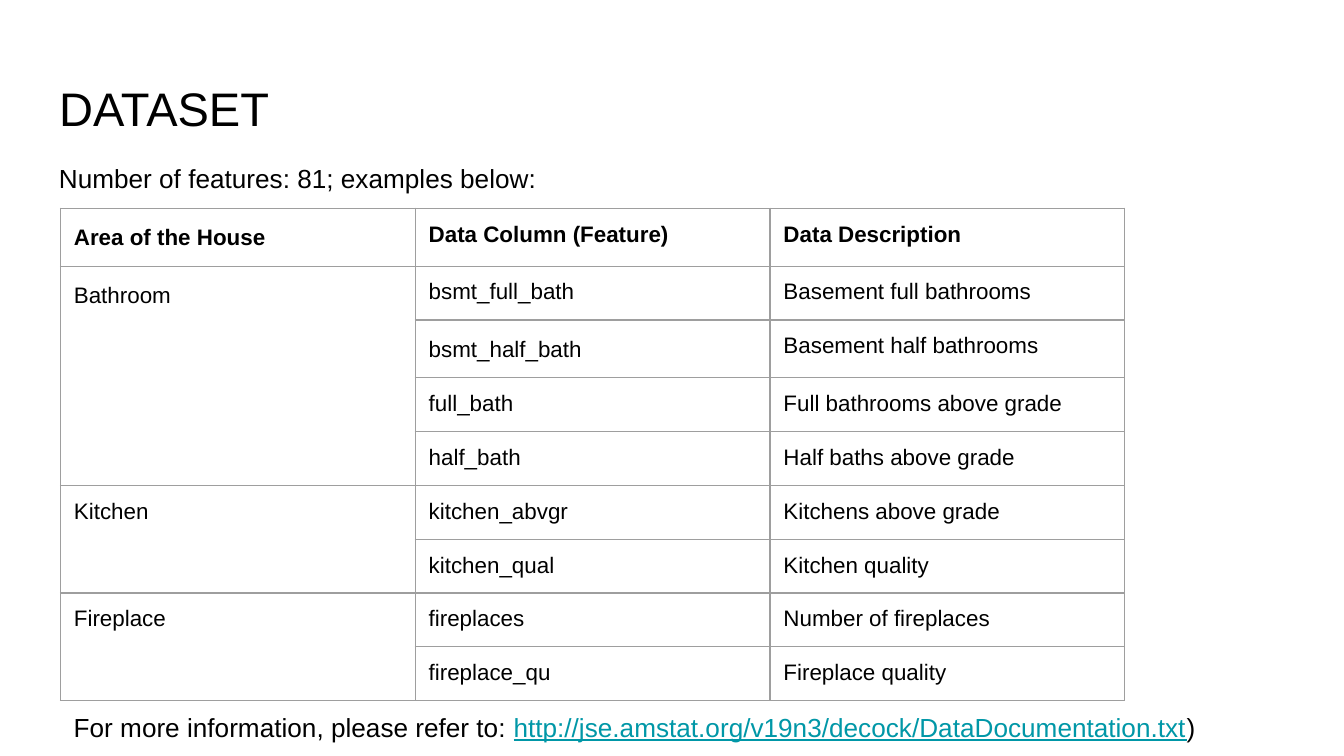
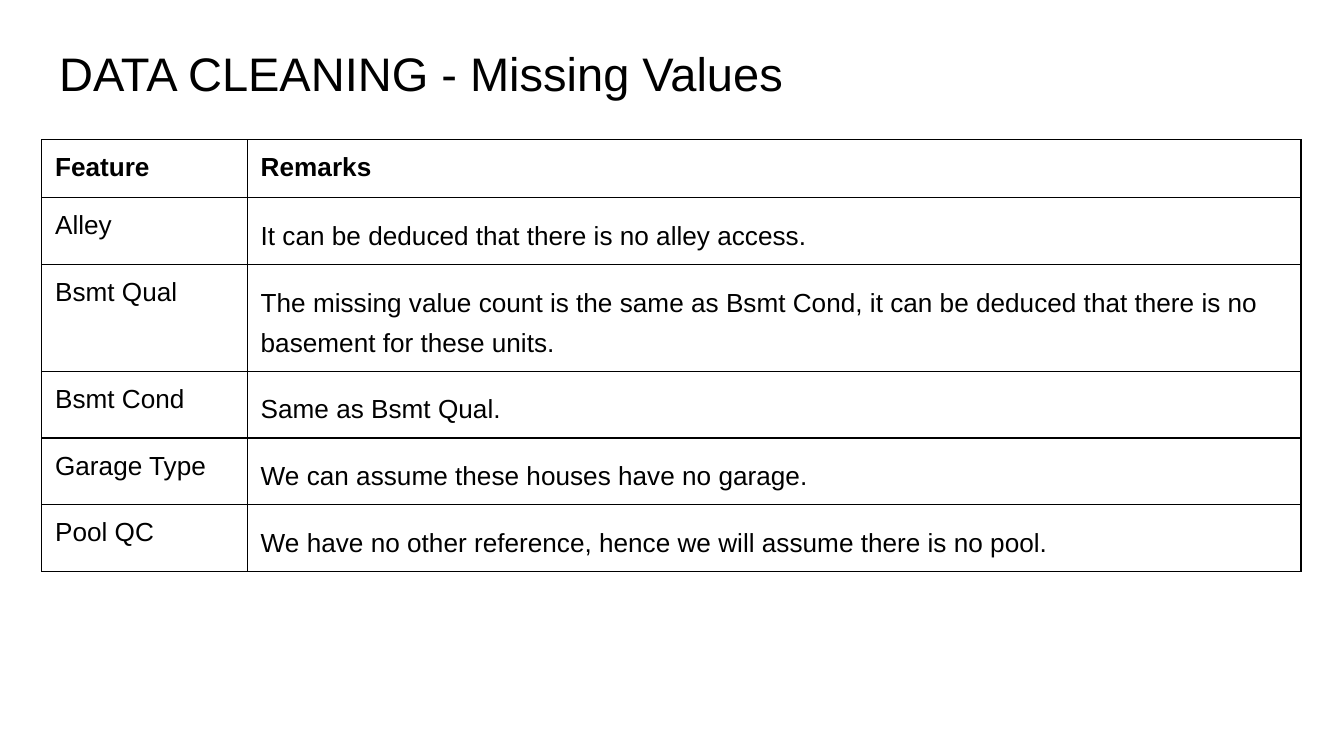
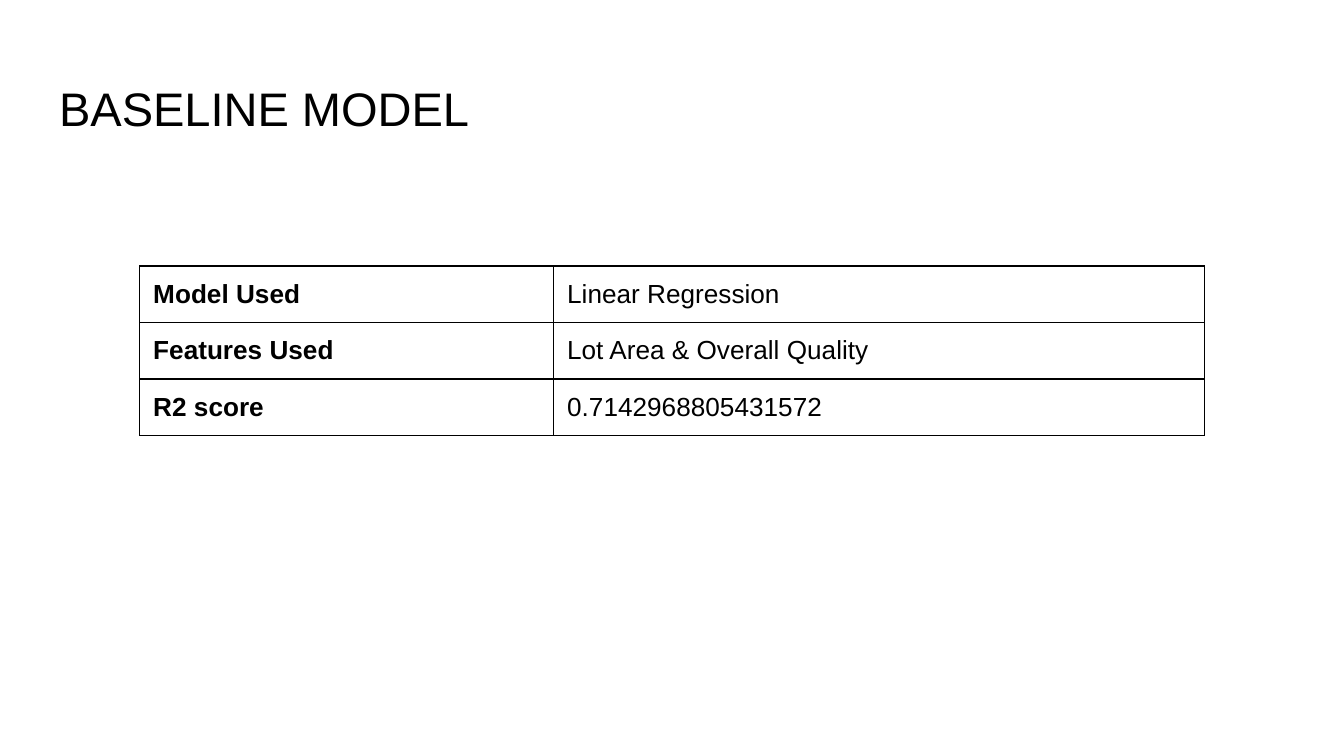
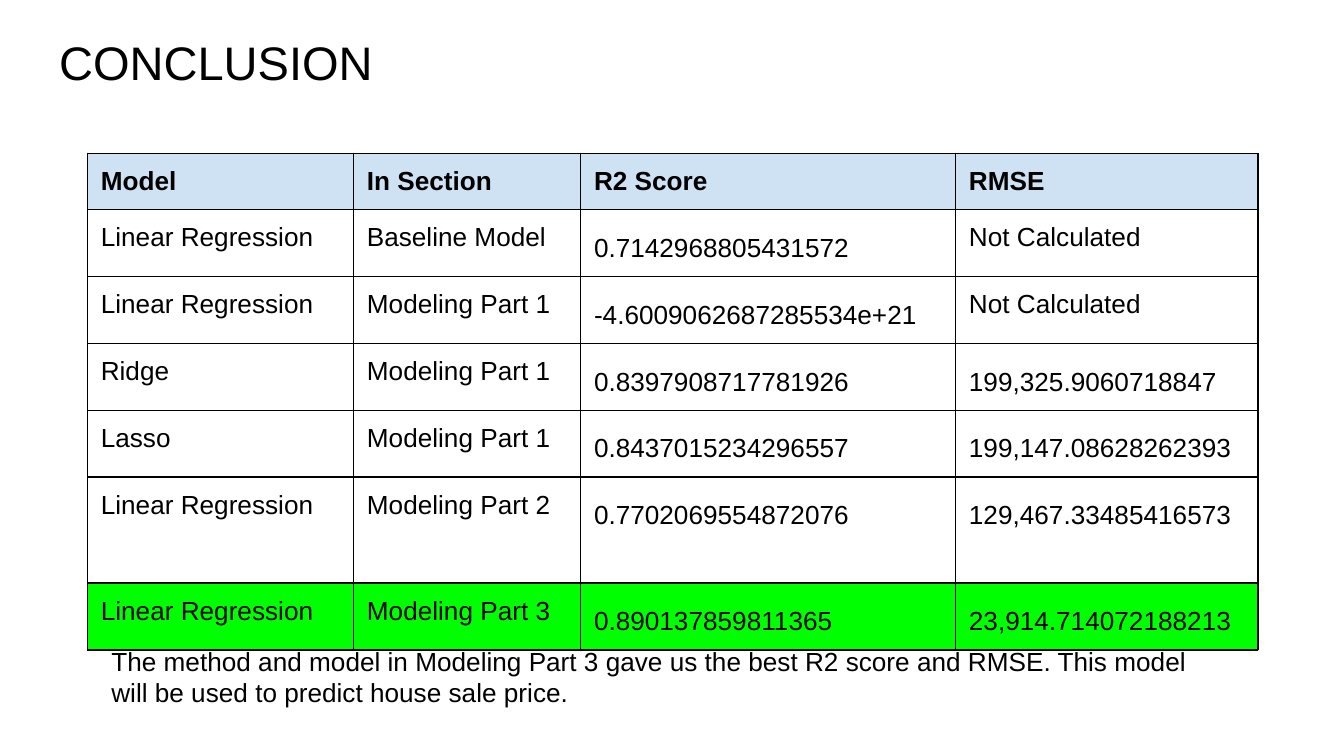
from dataclasses import dataclass

from lxml import etree
from pptx import Presentation
from pptx import util as u
from pptx.dml import color
from pptx.enum import text
from pptx.oxml import ns


@dataclass(frozen=True)
class Theme:
    font: str = "Arial"
    ink: str = "000000"
    paper: str = "FFFFFF"
    link: str = "0097A7"
    grid: str = "9E9E9E"
    header: str = "CFE2F3"
    best: str = "00FF00"
    title_size: float = 25.2
    body_size: float = 14
    small_size: float = 12
    border: float = 0.75
    inset: float = 0.1
    loose: float = 1.36
    medium: float = 1.15


THEME = Theme()
TITLE_LEFT, TITLE_WIDTH, TITLE_HEIGHT = 0.34, 9.32, 0.63


def rgb(value):
    return color.RGBColor.from_string(value)


def apply_format(target, values):
    for name, value in values.items():
        setattr(target, name, value)


def format_box(target, **extra):
    inset = u.Inches(THEME.inset)
    apply_format(target, {
        "margin_left": inset, "margin_right": inset,
        "margin_top": inset, "margin_bottom": inset,
        "vertical_anchor": text.MSO_ANCHOR.TOP, **extra,
    })


def write_run(paragraph, wording, size, ink=THEME.ink, **extra):
    paragraph.alignment = text.PP_ALIGN.LEFT
    run = paragraph.add_run()
    run.text = wording
    apply_format(run.font, {"name": THEME.font, "size": u.Pt(size), **extra})
    run.font.color.rgb = rgb(ink)


def add_titled_slide(presentation, wording, top):
    slide = presentation.slides.add_slide(presentation.slide_layouts[5])
    slide.background.fill.solid()
    slide.background.fill.fore_color.rgb = rgb(THEME.paper)
    title = slide.shapes.title
    apply_format(title, {
        "left": u.Inches(TITLE_LEFT), "top": u.Inches(top),
        "width": u.Inches(TITLE_WIDTH), "height": u.Inches(TITLE_HEIGHT),
    })
    format_box(title.text_frame, word_wrap=True, auto_size=text.MSO_AUTO_SIZE.NONE)
    write_run(title.text_frame.paragraphs[0], wording, THEME.title_size)
    return slide


def add_note(slide, box, *runs):
    frame = slide.shapes.add_textbox(*map(u.Inches, box)).text_frame
    format_box(frame, word_wrap=True, auto_size=text.MSO_AUTO_SIZE.SHAPE_TO_FIT_TEXT)
    for wording, extra in runs:
        write_run(frame.paragraphs[0], wording, THEME.body_size, **extra)


def draw_borders(cell, ink):
    properties = cell._tc.get_or_add_tcPr()
    for index, side in enumerate(("lnL", "lnR", "lnT", "lnB")):
        line = etree.Element(ns.qn(f"a:{side}"), w=str(u.Pt(THEME.border)))
        fill = etree.SubElement(line, ns.qn("a:solidFill"))
        etree.SubElement(fill, ns.qn("a:srgbClr"), val=ink)
        properties.insert(index, line)


def add_grid(slide, origin, widths, heights, rows, size=THEME.body_size, ink=THEME.ink,
             is_bold=lambda row, column: row == 0, spacing=None, fills=None, spans=()):
    spacing, fills = spacing or {}, fills or {}
    box = (*origin, sum(widths), sum(heights))
    table = slide.shapes.add_table(len(rows), len(widths), *map(u.Inches, box)).table
    apply_format(table, {"first_row": False, "horz_banding": False})
    for column, width in zip(table.columns, widths):
        column.width = u.Inches(width)
    for row, height in zip(table.rows, heights):
        row.height = u.Inches(height)
    for row, wordings in enumerate(rows):
        for column, wording in enumerate(wordings):
            cell = table.cell(row, column)
            format_box(cell)
            if row in fills:
                cell.fill.solid()
                cell.fill.fore_color.rgb = rgb(fills[row])
            else:
                cell.fill.background()
            draw_borders(cell, ink)
            if wording:
                paragraph = cell.text_frame.paragraphs[0]
                apply_format(paragraph, spacing.get((row, column), {}))
                write_run(paragraph, wording, size, bold=is_bold(row, column))
    for first, last in spans:
        table.cell(first, 0).merge(table.cell(last, 0))


def build_dataset(presentation):
    slide = add_titled_slide(presentation, "DATASET", 0.49)
    add_note(slide, (0.34, 1.11, 4.66, 0.44),
             ("Number of features: 81; examples below:", {}))
    add_note(slide, (0.45, 5.19, 9.55, 0.44),
             ("For more information, please refer to: ", {}),
             ("http://jse.amstat.org/v19n3/decock/DataDocumentation.txt",
              {"ink": THEME.link, "underline": True}),
             (")", {}))
    rows = [
        ("Area of the House", "Data Column (Feature)", "Data Description"),
        ("Bathroom", "bsmt_full_bath", "Basement full bathrooms"),
        ("", "bsmt_half_bath", "Basement half bathrooms"),
        ("", "full_bath", "Full bathrooms above grade"),
        ("", "half_bath", "Half baths above grade"),
        ("Kitchen", "kitchen_abvgr", "Kitchens above grade"),
        ("", "kitchen_qual", "Kitchen quality"),
        ("Fireplace", "fireplaces", "Number of fireplaces"),
        ("", "fireplace_qu", "Fireplace quality"),
    ]
    spaced = {"line_spacing": THEME.medium, "space_after": u.Pt(12)}
    add_grid(slide, (0.45, 1.55), [2.64] * 3, [0.43, 0.4, 0.43] + [0.4] * 6, rows,
             size=THEME.small_size, ink=THEME.grid,
             spacing=dict.fromkeys([(0, 0), (1, 0), (2, 1)], spaced),
             spans=[(1, 4), (5, 6), (7, 8)])


def build_cleaning(presentation):
    slide = add_titled_slide(presentation, "DATA CLEANING - Missing Values", 0.23)
    rows = [
        ("Feature", "Remarks"),
        ("Alley", "It can be deduced that there is no alley access."),
        ("Bsmt Qual", "The missing value count is the same as Bsmt Cond, it can be "
                      "deduced that there is no basement for these units."),
        ("Bsmt Cond", "Same as Bsmt Qual."),
        ("Garage Type", "We can assume these houses have no garage."),
        ("Pool QC", "We have no other reference, hence we will assume there is no pool."),
    ]
    remarks = [(row, 1) for row in range(1, len(rows))]
    add_grid(slide, (0.31, 1.04), [1.53, 7.84], [0.43, 0.49, 0.79] + [0.49] * 3, rows,
             spacing=dict.fromkeys(remarks, {"line_spacing": THEME.loose}))


def build_baseline(presentation):
    slide = add_titled_slide(presentation, "BASELINE MODEL", 0.49)
    rows = [
        ("Model Used", "Linear Regression"),
        ("Features Used", "Lot Area & Overall Quality"),
        ("R2 score", "0.7142968805431572"),
    ]
    add_grid(slide, (1.04, 1.98), [3.08, 4.84], [0.42] * 3, rows,
             is_bold=lambda row, column: column == 0)


def build_conclusion(presentation):
    slide = add_titled_slide(presentation, "CONCLUSION", 0.15)
    rows = [
        ("Model", "In Section", "R2 Score", "RMSE"),
        ("Linear Regression", "Baseline Model", "0.7142968805431572", "Not Calculated"),
        ("Linear Regression", "Modeling Part 1", "-4.6009062687285534e+21", "Not Calculated"),
        ("Ridge", "Modeling Part 1", "0.8397908717781926", "199,325.9060718847"),
        ("Lasso", "Modeling Part 1", "0.8437015234296557", "199,147.08628262393"),
        ("Linear Regression", "Modeling Part 2", "0.7702069554872076", "129,467.33485416573"),
        ("Linear Regression", "Modeling Part 3", "0.890137859811365", "23,914.714072188213"),
    ]
    scores = [(row, column) for row in range(1, len(rows)) for column in (2, 3)
              if rows[row][column] != "Not Calculated"]
    add_grid(slide, (0.65, 1.14), [1.98, 1.69, 2.79, 2.25],
             [0.42] + [0.49] * 4 + [0.79, 0.49], rows,
             spacing=dict.fromkeys(scores, {"line_spacing": THEME.loose}),
             fills={0: THEME.header, len(rows) - 1: THEME.best})
    add_note(slide, (0.73, 4.7, 8.42, 0.67),
             ("The method and model in Modeling Part 3 gave us the best R2 score and RMSE. "
              "This model will be used to predict house sale price.", {}))


def main():
    presentation = Presentation()
    presentation.slide_width = u.Inches(10)
    presentation.slide_height = u.Inches(10 * 9 / 16)
    for build in (build_dataset, build_cleaning, build_baseline, build_conclusion):
        build(presentation)
    presentation.save("out.pptx")


if __name__ == "__main__":
    main()
